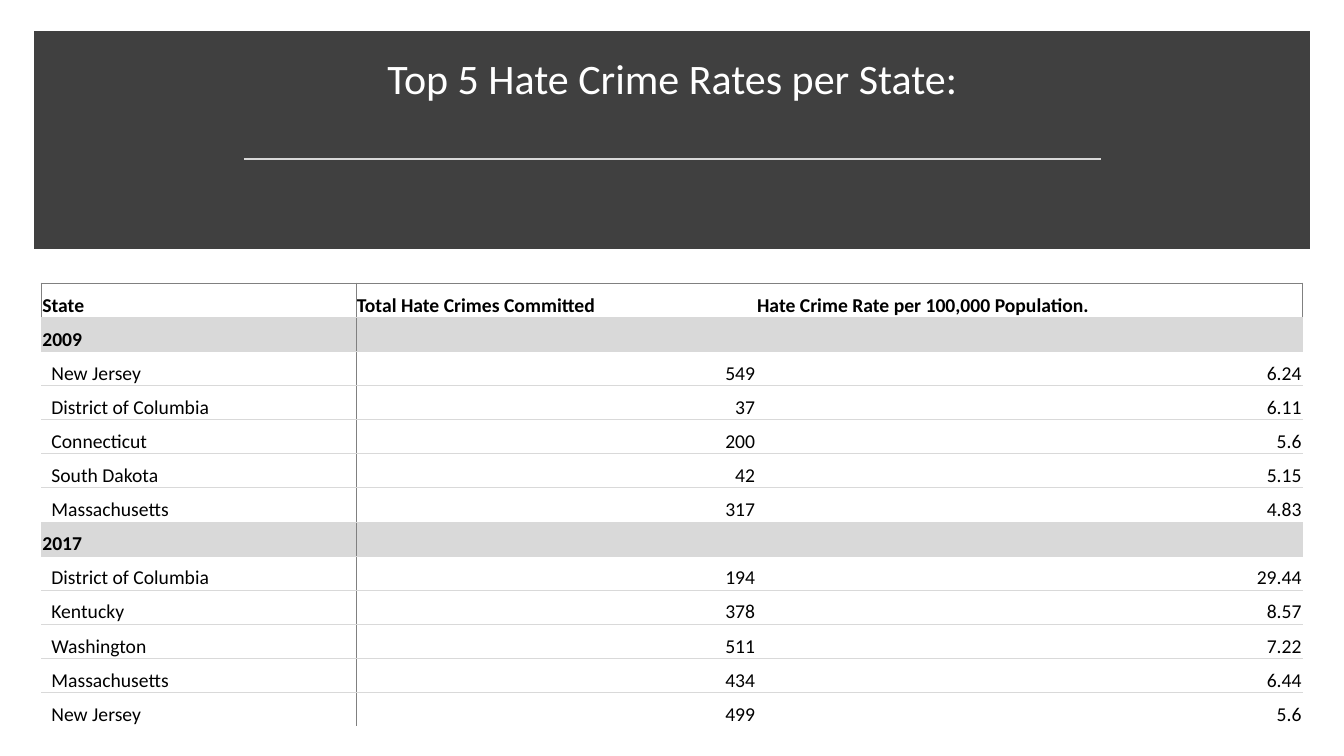
from lxml import etree
from pptx import Presentation
from pptx import util as u
from pptx.dml.color import RGBColor
from pptx.enum import shapes, text
from pptx.oxml import ns

# Content
TITLE = "Top 5 Hate Crime Rates per State:"
HEADER = ("State", "Total Hate Crimes Committed",
          "Hate Crime Rate per 100,000 Population.")
RATES = {
    "2009": [
        ("New Jersey", "549", "6.24"),
        ("District of Columbia", "37", "6.11"),
        ("Connecticut", "200", "5.6"),
        ("South Dakota", "42", "5.15"),
        ("Massachusetts", "317", "4.83"),
    ],
    "2017": [
        ("District of Columbia", "194", "29.44"),
        ("Kentucky", "378", "8.57"),
        ("Washington", "511", "7.22"),
        ("Massachusetts", "434", "6.44"),
        ("New Jersey", "499", "5.6"),
    ],
}
COLUMN_WIDTHS = (3.12, 3.97, 5.42)
LEFT, WIDTH = 0.41, sum(COLUMN_WIDTHS)
TABLE_TOP, TABLE_HEIGHT = 2.81, 4.4
DARK, GRAY, LIGHT = "404040", "808080", "D9D9D9"
PLAIN_TABLE_STYLE = "{2D5ABB26-0587-4C30-8999-92F81FD0307C}"


def color(value):
    return RGBColor.from_string(value)


def write(frame, words, size=14, ink="000000", bold=False,
          align=text.PP_ALIGN.LEFT, spacing=None):
    para = frame.paragraphs[0]
    para.alignment = align
    para.line_spacing = spacing
    if words:
        span = para.add_run()
        span.text = words
        span.font.name = "Calibri"
        span.font.size = u.Pt(size)
        span.font.bold = bold
        span.font.color.rgb = color(ink)


def add_border(cell, side, border):
    properties = cell._tc.get_or_add_tcPr()
    line = etree.SubElement(properties, ns.qn("a:ln" + side))
    if border is None:
        etree.SubElement(line, ns.qn("a:noFill"))
        return
    ink, points = border
    line.set("w", str(u.Pt(points)))
    fill = etree.SubElement(line, ns.qn("a:solidFill"))
    etree.SubElement(fill, ns.qn("a:srgbClr"), val=ink)


def cell_borders(row, column, last_row, last_column):
    """Borders in the order that the file format asks for: L, R, T, B."""
    header = row == 0
    borders = dict.fromkeys("LRTB")
    if column == 1:
        borders["L"] = (GRAY, 0.5)
    elif header and column == 0:
        borders["L"] = (GRAY, 1)
    if column == 0:
        borders["R"] = (GRAY, 0.5)
    elif header and column == last_column:
        borders["R"] = (GRAY, 1)
    borders["T"] = (GRAY, 1) if header else (LIGHT, 0.5)
    if row < last_row:
        borders["B"] = (LIGHT, 0.5)
    return borders


def add_title(page):
    # Dark band behind the title, with square corners
    title = page.shapes.title
    band = page.shapes.add_shape(
        shapes.MSO_SHAPE.RECTANGLE, u.Inches(LEFT), u.Inches(0.38),
        u.Inches(WIDTH), u.Inches(2.02))
    band.shadow.inherit = False
    band.fill.solid()
    band.fill.fore_color.rgb = color(DARK)
    band.line.color.rgb = color(DARK)
    band.line.width = u.Pt(10)
    outline = band.element.spPr.find(ns.qn("a:ln"))
    etree.SubElement(outline, ns.qn("a:miter"), lim="800000")
    title.element.addprevious(band.element)

    # Title, raised above the bottom of its box
    title.left, title.top = u.Inches(0.58), u.Inches(0.51)
    title.width, title.height = u.Inches(12.18), u.Inches(1.02)
    frame = title.text_frame
    frame.auto_size = text.MSO_AUTO_SIZE.NONE
    frame.vertical_anchor = text.MSO_ANCHOR.BOTTOM
    frame.margin_bottom = u.Inches(0.5)
    write(frame, TITLE, size=30, ink="FFFFFF",
          align=text.PP_ALIGN.CENTER, spacing=0.9)

    # Rule below the title
    rule = page.shapes.add_connector(
        shapes.MSO_CONNECTOR.STRAIGHT, u.Inches(2.42), u.Inches(1.58),
        u.Inches(10.92), u.Inches(1.58))
    rule.line.color.rgb = color(LIGHT)
    rule.line.width = u.Pt(1.75)
    etree.SubElement(rule.element.spPr, ns.qn("a:effectLst"))


def add_rates_table(page):
    rows = [("header", HEADER)]
    for year, states in RATES.items():
        rows.append(("year", (year, "", "")))
        rows += [("state", state) for state in states]

    box = page.shapes.add_table(
        len(rows), len(HEADER), u.Inches(LEFT), u.Inches(TABLE_TOP),
        u.Inches(WIDTH), u.Inches(TABLE_HEIGHT))
    table = box.table
    table.first_row = table.horz_banding = False
    style = table._tbl.tblPr.find(ns.qn("a:tableStyleId"))
    style.text = PLAIN_TABLE_STYLE
    for column, width in zip(table.columns, COLUMN_WIDTHS):
        column.width = u.Inches(width)

    for r, (kind, values) in enumerate(rows):
        table.rows[r].height = u.Inches(TABLE_HEIGHT / len(rows))
        for c, value in enumerate(values):
            cell = table.cell(r, c)
            state = kind == "state"
            cell.vertical_anchor = text.MSO_ANCHOR.BOTTOM
            cell.margin_left = u.Inches(0.1 if state and c == 0 else 0.01)
            cell.margin_right = cell.margin_top = u.Inches(0.01)
            cell.margin_bottom = 0
            align = text.PP_ALIGN.RIGHT if state and c else text.PP_ALIGN.LEFT
            write(cell.text_frame, value, bold=not state, align=align)
            borders = cell_borders(r, c, len(rows) - 1, len(HEADER) - 1)
            for side, border in borders.items():
                add_border(cell, side, border)
            if kind == "year":
                cell.fill.solid()
                cell.fill.fore_color.rgb = color(LIGHT)
            else:
                cell.fill.background()


def main():
    deck = Presentation()
    deck.slide_width, deck.slide_height = u.Inches(13.33), u.Inches(7.5)
    page = deck.slides.add_slide(deck.slide_layouts.get_by_name("Title Only"))
    add_title(page)
    add_rates_table(page)
    deck.save("out.pptx")


if __name__ == "__main__":
    main()
